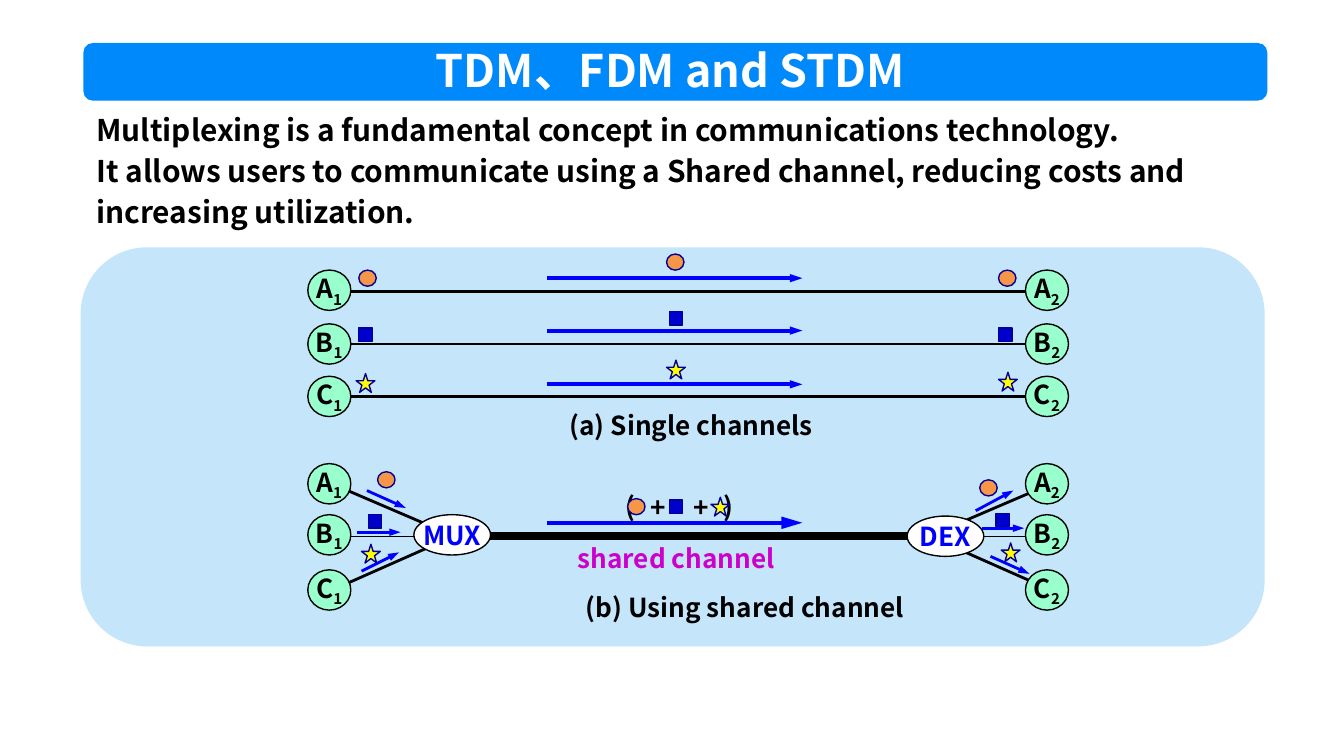
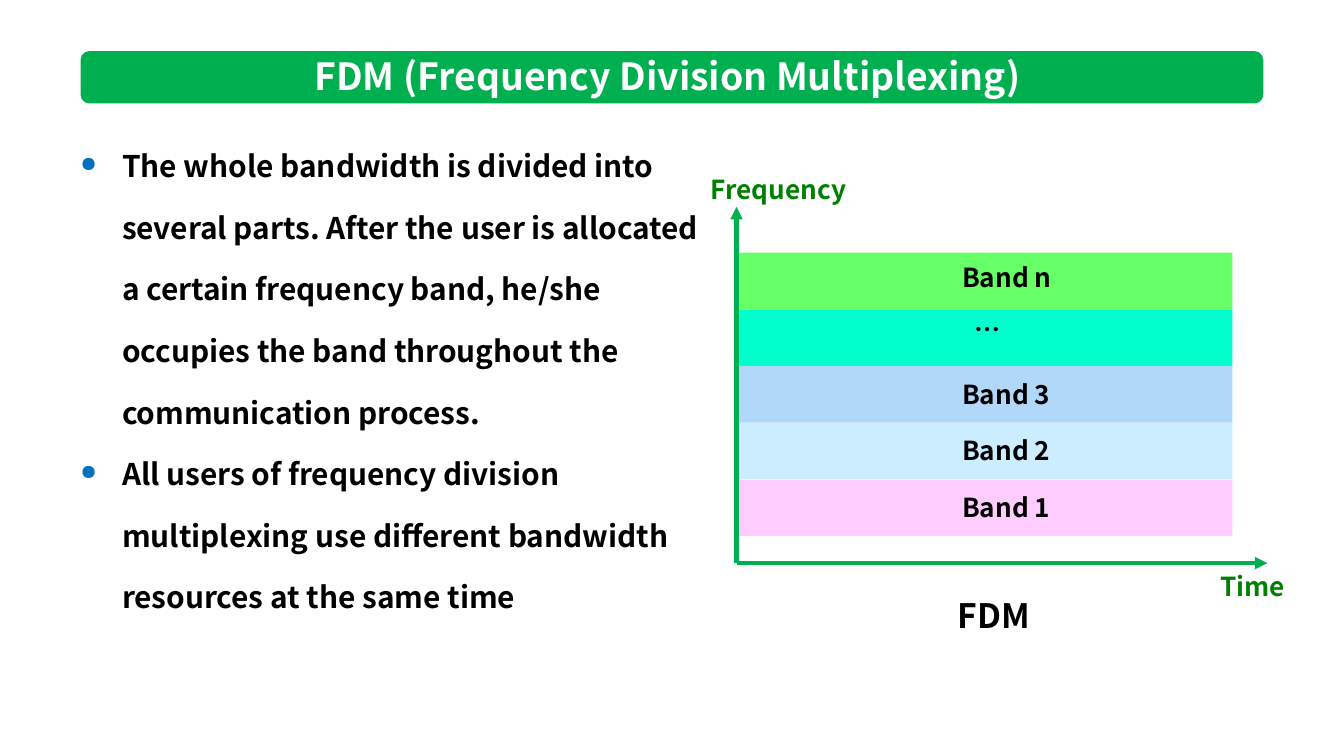
from lxml.etree import SubElement
from pptx import Presentation
from pptx.dml.color import RGBColor
from pptx.enum.shapes import MSO_CONNECTOR, MSO_SHAPE
from pptx.enum.text import MSO_ANCHOR, MSO_AUTO_SIZE, PP_ALIGN
from pptx.oxml.ns import qn
from pptx.util import Inches, Pt

FONT = "Noto Sans CJK SC"
BLACK = RGBColor(0x00, 0x00, 0x00)
WHITE = RGBColor(0xFF, 0xFF, 0xFF)
BLUE = RGBColor(0x00, 0x00, 0xFF)
NAVY = RGBColor(0x00, 0x00, 0x99)
TITLE_BLUE = RGBColor(0x00, 0x89, 0xFA)
TITLE_GREEN = RGBColor(0x00, 0xB0, 0x50)
LABEL_GREEN = RGBColor(0x00, 0x80, 0x00)
BULLET_BLUE = RGBColor(0x00, 0x70, 0xC0)
PANEL_BLUE = RGBColor(0xC5, 0xE5, 0xFB)
STATION_MINT = RGBColor(0x99, 0xFF, 0xCC)
MAGENTA = RGBColor(0xCC, 0x00, 0xCC)
ORANGE = RGBColor(0xF7, 0x96, 0x46)
SQUARE_BLUE = RGBColor(0x00, 0x00, 0xCC)
YELLOW = RGBColor(0xFF, 0xFF, 0x00)

NARROW_HEAD = ("sm", "med")
NORMAL_HEAD = ("med", "med")
LONG_HEAD = ("med", "lg")

PACKETS = {
    "A": (MSO_SHAPE.OVAL, 0.13, 0.12, ORANGE),
    "B": (MSO_SHAPE.RECTANGLE, 0.1, 0.1, SQUARE_BLUE),
    "C": (MSO_SHAPE.STAR_5_POINT, 0.14, 0.14, YELLOW),
}
BANDS = [
    ("Band n", RGBColor(0x66, 0xFF, 0x66), 7.06, 1.92),
    ("…", RGBColor(0x00, 0xFF, 0xCC), 7.15, 2.31),
    ("Band 3", RGBColor(0xB1, 0xD8, 0xF9), 7.06, 2.79),
    ("Band 2", RGBColor(0xCC, 0xEC, 0xFF), 7.06, 3.21),
    ("Band 1", RGBColor(0xFF, 0xCC, 0xFF), 7.06, 3.63),
]


class Page:
    def __init__(self, deck):
        self.slide = deck.slides.add_slide(deck.slide_layouts[6])
        self.shapes = self.slide.shapes

    def begin_group(self):
        self.shapes = self.slide.shapes.add_group_shape().shapes

    def end_group(self):
        self.shapes = self.slide.shapes

    def style_run(self, run, size, color):
        run.font.size = Pt(size)
        run.font.bold = True
        run.font.color.rgb = color
        run.font.name = FONT
        SubElement(run._r.get_or_add_rPr(), qn("a:ea"), typeface=FONT)

    def shape(self, kind, left, top, width, height, fill, outline=None):
        shape = self.shapes.add_shape(
            kind, Inches(left), Inches(top), Inches(width), Inches(height))
        shape.shadow.inherit = False
        shape.fill.solid()
        shape.fill.fore_color.rgb = fill
        if outline is None:
            shape.line.fill.background()
        else:
            shape.line.color.rgb = outline
            shape.line.width = Pt(0.75)
        return shape

    def oval(self, left, top, width, fill, color, label, subscript=""):
        oval = self.shape(MSO_SHAPE.OVAL, left, top, width, 0.3, fill, BLACK)
        frame = oval.text_frame
        frame.word_wrap = False
        frame.vertical_anchor = MSO_ANCHOR.MIDDLE
        frame.text = label
        paragraph = frame.paragraphs[0]
        paragraph.alignment = PP_ALIGN.CENTER
        if subscript:
            lowered = paragraph.add_run()
            lowered.text = subscript
            lowered._r.get_or_add_rPr().set("baseline", "-25000")
        for run in paragraph.runs:
            self.style_run(run, 14, color)

    def stations(self, tops):
        for letter, top in zip("ABC", tops):
            for side, left in (("1", 2.29), ("2", 7.63)):
                self.oval(left, top, 0.32, STATION_MINT, BLACK, letter, side)

    def packet(self, letter, left, top):
        kind, width, height, fill = PACKETS[letter]
        self.shape(kind, left, top, width, height, fill, NAVY)

    def line(self, start, end, color, width, head=None):
        line = self.shapes.add_connector(
            MSO_CONNECTOR.STRAIGHT, *[Inches(value) for value in start + end])
        line.line.color.rgb = color
        line.line.width = Pt(width)
        if head:
            SubElement(line.line._get_or_add_ln(), qn("a:tailEnd"),
                       type="triangle", w=head[0], len=head[1])
        SubElement(line._element.spPr, qn("a:effectLst"))

    def text(self, left, top, width, height, lines, size=14, color=BLACK,
             align=PP_ALIGN.LEFT, spacing=None, wrap=False, bullet=None):
        box = self.shapes.add_textbox(
            Inches(left), Inches(top), Inches(width), Inches(height))
        frame = box.text_frame
        frame.word_wrap = wrap
        frame.auto_size = MSO_AUTO_SIZE.SHAPE_TO_FIT_TEXT
        frame.text = "\n".join(lines)
        for paragraph in frame.paragraphs:
            if bullet:
                self.bullet(paragraph, bullet)
            paragraph.alignment = align
            paragraph.line_spacing = spacing
            for run in paragraph.runs:
                self.style_run(run, size, color)
        return frame

    def bullet(self, paragraph, color):
        properties = paragraph._p.get_or_add_pPr()
        properties.set("marL", str(Inches(0.31)))
        properties.set("indent", str(-Inches(0.31)))
        tint = SubElement(properties, qn("a:buClr"))
        SubElement(tint, qn("a:srgbClr"), val=str(color))
        SubElement(properties, qn("a:buSzPct"), val="70000")
        SubElement(properties, qn("a:buChar"), char="●")

    def parentheses(self, left, top, width, height, gap):
        frame = self.text(left, top, width, height, ["( "],
                          align=PP_ALIGN.CENTER, wrap=True)
        paragraph = frame.paragraphs[0]
        paragraph.runs[0]._r.get_or_add_rPr().set("spc", str(gap * 100))
        closing = paragraph.add_run()
        closing.text = ")"
        self.style_run(closing, 14, BLACK)

    def title(self, words, band, fill, box, size):
        self.shape(MSO_SHAPE.ROUNDED_RECTANGLE, *band, fill)
        self.text(*box, [words], size, WHITE, PP_ALIGN.CENTER)


def draw_packets(page, routes):
    for letter, places in zip("ABC", routes):
        for place in places:
            page.packet(letter, *place)


def draw_single_channels(page):
    page.begin_group()
    for y in (2.17, 2.56, 2.95):
        page.line((2.61, y), (7.69, y), BLACK, 1.5)
    page.stations((2.01, 2.41, 2.8))
    page.text(4.14, 3, 2.04, 0.34, ["(a) Single channels"])
    for y in (2.07, 2.46, 2.86):
        page.line((4.07, y), (5.97, y), BLUE, 2.25, NARROW_HEAD)
    draw_packets(page, (
        ((2.67, 2.01), (4.96, 1.89), (7.43, 2.01)),
        ((2.67, 2.44), (4.98, 2.32), (7.43, 2.44)),
        ((2.65, 2.78), (4.96, 2.68), (7.43, 2.77)),
    ))
    page.end_group()


def draw_shared_channel(page):
    page.begin_group()
    page.text(4.74, 3.61, 0.35, 0.34, ["+"])
    page.parentheses(4.28, 3.6, 1.55, 0.34, 22)
    page.text(5.06, 3.61, 0.35, 0.34, ["+"])
    page.line((2.61, 3.99), (7.69, 3.99), BLACK, 0.75)
    page.line((3.3, 3.99), (7.05, 3.99), BLACK, 4.5)
    for station_y, hub_y in ((3.63, 3.93), (4.36, 4.05)):
        page.line((2.54, station_y), (3.24, hub_y), BLACK, 1.5)
        page.line((7.05, hub_y), (7.75, station_y), BLACK, 1.5)
    page.stations((3.45, 3.83, 4.24))
    page.text(4.2, 3.99, 1.68, 0.34, ["shared channel"], color=MAGENTA)
    page.text(4.26, 4.35, 2.63, 0.34, ["(b) Using shared channel"])
    page.oval(3.08, 3.83, 0.57, WHITE, BLUE, "MUX")
    page.oval(6.75, 3.84, 0.57, WHITE, BLUE, "DEX")
    page.line((4.07, 3.89), (5.97, 3.89), BLUE, 2.25, LONG_HEAD)
    for start, end in (
        ((2.73, 3.65), (3.02, 3.78)), ((7.26, 3.8), (7.54, 3.65)),
        ((2.66, 3.96), (2.98, 3.96)), ((7.31, 3.93), (7.62, 3.93)),
        ((2.69, 4.25), (2.97, 4.11)), ((7.37, 4.14), (7.66, 4.27)),
    ):
        page.line(start, end, BLUE, 1.5, NARROW_HEAD)
    draw_packets(page, (
        ((2.81, 3.51), (4.67, 3.71), (7.29, 3.57)),
        ((2.74, 3.83), (4.98, 3.72), (7.41, 3.82)),
        ((2.69, 4.05), (5.29, 3.7), (7.45, 4.04)),
    ))
    page.end_group()


def build_multiplexing(deck):
    page = Page(deck)
    page.shape(MSO_SHAPE.ROUNDED_RECTANGLE, 0.6, 1.84, 8.81, 2.97, PANEL_BLUE)
    page.title("TDM、FDM and STDM ", (0.62, 0.32, 8.81, 0.43), TITLE_BLUE,
               (3.03, 0.27, 3.99, 0.5), 24)
    page.text(0.62, 0.74, 8.38, 1.02, [
        "Multiplexing is a fundamental concept in communications technology.",
        "It allows users to communicate using a Shared channel, reducing costs "
        "and increasing utilization.",
    ], 16, spacing=Pt(22), wrap=True)
    draw_single_channels(page)
    draw_shared_channel(page)


def build_fdm(deck):
    page = Page(deck)
    page.title("FDM (Frequency Division Multiplexing) ", (0.6, 0.38, 8.8, 0.39),
               TITLE_GREEN, (2.16, 0.35, 5.68, 0.44), 20)
    page.text(0.5, 0.86, 4.82, 3.8, [
        "The whole bandwidth is divided into several parts. After the user is "
        "allocated a certain frequency band, he/she occupies the band throughout "
        "the communication process.",
        "All users of frequency division multiplexing use different bandwidth "
        "resources at the same time",
    ], 16, spacing=Pt(33), wrap=True, bullet=BULLET_BLUE)
    page.begin_group()
    page.text(5.19, 1.27, 1.21, 0.31, ["Frequency"], color=LABEL_GREEN, spacing=0.9)
    page.text(8.98, 4.22, 0.68, 0.31, ["Time"], color=LABEL_GREEN, spacing=0.9)
    for row, (name, fill, left, top) in enumerate(BANDS):
        page.shape(MSO_SHAPE.RECTANGLE, 5.48, 1.88 + 1.69 * row / 4, 3.69, 0.42, fill)
        page.text(left, top, 0.4 if name == "…" else 0.88, 0.31, [name], spacing=0.9)
    origin = (5.48, 4.19)
    for axis_end in ((9.43, 4.19), (5.48, 1.54)):
        page.line(origin, axis_end, TITLE_GREEN, 2.25, NORMAL_HEAD)
    page.end_group()
    page.text(7, 4.38, 0.79, 0.4, ["FDM"], 18, align=PP_ALIGN.CENTER)


def main():
    deck = Presentation()
    deck.slide_width = Inches(10)
    deck.slide_height = Inches(10 * 9 / 16)
    build_multiplexing(deck)
    build_fdm(deck)
    deck.save("out.pptx")


if __name__ == "__main__":
    main()
